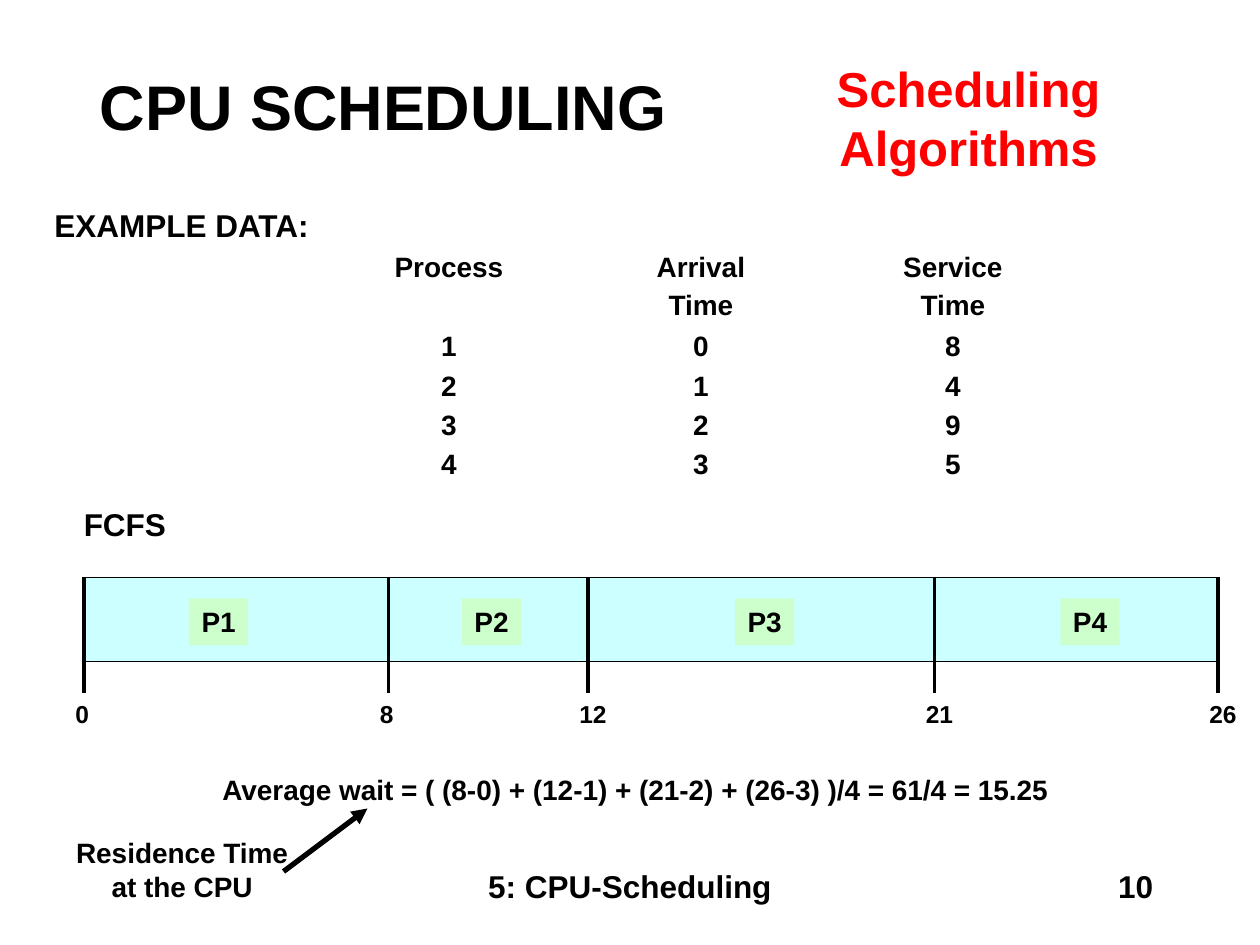
from pptx import Presentation
from pptx.dml.color import RGBColor as Rgb
from pptx.enum.shapes import MSO_CONNECTOR as Conn, MSO_SHAPE as Kind
from pptx.enum.text import MSO_ANCHOR as Anchor, MSO_AUTO_SIZE as Auto, PP_ALIGN as Align
from pptx.oxml.ns import qn
from pptx.util import Inches, Pt
from lxml.etree import SubElement as Sub

COLS, ROWS = 120, 90
HEX = {"ink": "000000", "red": "FF0000", "bar": "CCFFFF", "tag": "CCFFCC"}
FONT = {"name": "Arial", "bold": True}
TICKS = {0: 8, 8: 37, 12: 56, 21: 89, 26: 116}
TAGS = {"P1": 18, "P2": 44, "P3": 70, "P4": 101}
DATA = [
    ("Process", "Arrival\nTime", "Service\nTime"),
    (1, 0, 8), (2, 1, 4), (3, 2, 9), (4, 3, 5),
]


def grid(*vals):
    """Turn grid units, twelve to the inch, into lengths."""
    return [Inches(v / 12) for v in vals]


def tint(name):
    """Give the colour with this name."""
    return Rgb.from_string(HEX[name])


def write(frame, text, size, align=Align.LEFT, hue="ink", gap=0):
    """Set one paragraph per line of text in a frame."""
    for i, line in enumerate(str(text).split("\n")):
        para = frame.paragraphs[0] if i == 0 else frame.add_paragraph()
        para.alignment = align
        para.space_before = Pt(gap if i else 0)
        run = para.add_run()
        run.text = line
        for key, val in {**FONT, "size": Pt(size)}.items():
            setattr(run.font, key, val)
        run.font.color.rgb = tint(hue)


def label(slide, at, text, size, wrap=False, anchor=Anchor.TOP, **look):
    """Add a text box."""
    frame = slide.shapes.add_textbox(*grid(*at)).text_frame
    form = {"word_wrap": wrap, "vertical_anchor": anchor, "auto_size": Auto.NONE}
    for key, val in form.items():
        setattr(frame, key, val)
    write(frame, text, size, **look)


def block(slide, at, fill, edge=None):
    """Add a filled rectangle."""
    box = slide.shapes.add_shape(Kind.RECTANGLE, *grid(*at))
    box.shadow.inherit = False
    box.fill.solid()
    box.fill.fore_color.rgb = tint(fill)
    if edge:
        box.line.color.rgb = tint("ink")
        box.line.width = Pt(edge)
    else:
        box.line.fill.background()
    return box


def rule(slide, ends, width, head=False):
    """Add a straight line, with an arrowhead if asked."""
    line = slide.shapes.add_connector(Conn.STRAIGHT, *grid(*ends))
    line.line.color.rgb = tint("ink")
    line.line.width = Pt(width)
    if head:
        Sub(line.line._get_or_add_ln(), qn("a:tailEnd"), type="triangle")
    Sub(line._element.spPr, qn("a:effectLst"))


def table(slide, at, head, step):
    """Add the plain table of process times."""
    tab = slide.shapes.add_table(len(DATA), len(DATA[0]), *grid(*at)).table
    tab.first_row = tab.horz_banding = False
    form = {f"margin_{side}": 0 for side in ("left", "right", "top", "bottom")}
    for r, vals in enumerate(DATA):
        tab.rows[r].height = grid(step if r else head)[0]
        form["vertical_anchor"] = Anchor.MIDDLE if r else Anchor.TOP
        for c, val in enumerate(vals):
            cell = tab.cell(r, c)
            cell.fill.background()
            for key, mark in form.items():
                setattr(cell, key, mark)
            for side in ("a:lnB", "a:lnT", "a:lnR", "a:lnL"):
                edge = cell._tc.tcPr.makeelement(qn(side), {"w": "0"})
                Sub(edge, qn("a:noFill"))
                cell._tc.tcPr.insert(0, edge)
            write(cell.text_frame, val, 16, Align.CENTER, gap=4)


def chart(slide, top):
    """Draw the timeline bar with its ticks and process tags."""
    left, right = TICKS[0], TICKS[26]
    block(slide, (left, top, right - left, 8), "bar", 0.75)
    for time, col in TICKS.items():
        rule(slide, (col, top, col, top + 11), 2.25)
        label(slide, (col - 2, top + 11, 5 if time > 9 else 3.7, 4), time, 14)
    for name, col in TAGS.items():
        tag = block(slide, (col, top + 2, 5.64, 4.44), "tag")
        tag.text_frame.word_wrap = False
        write(tag.text_frame, name, 16, Align.CENTER)


def main():
    """Build the slide and save it."""
    deck = Presentation()
    deck.slide_width, deck.slide_height = grid(COLS, ROWS)
    slide = deck.slides.add_slide(deck.slide_layouts[6])
    mid = {"wrap": True, "align": Align.CENTER}
    label(slide, (7, 4, 59, 12), "CPU SCHEDULING", 36, anchor=Anchor.MIDDLE, **mid)
    label(slide, (71, 5, 42.5, 12.4), "Scheduling\nAlgorithms", 28, hue="red", **mid)
    label(slide, (4, 19, 40, 5), "EXAMPLE DATA:", 18, wrap=True)
    table(slide, (30.75, 24, 72, 22.2), 7.2, 3.75)
    label(slide, (6.8, 47.5, 10.2, 4.8), "FCFS", 18)
    chart(slide, 55)
    label(slide, (20, 73, 81.6, 4.4),
          "Average wait = ( (8-0) + (12-1) + (21-2) + (26-3) )/4 = 61/4 = 15.25", 16)
    label(slide, (6, 79, 22.7, 7.7), "Residence Time\nat the CPU", 16, align=Align.CENTER)
    rule(slide, (27, 83, 35, 77), 3, head=True)
    label(slide, (41, 82, 38, 6), "5: CPU-Scheduling", 18, **mid)
    label(slide, (86, 82, 25, 6), "10", 18, wrap=True, align=Align.RIGHT)
    deck.save("out.pptx")


if __name__ == "__main__":
    main()
